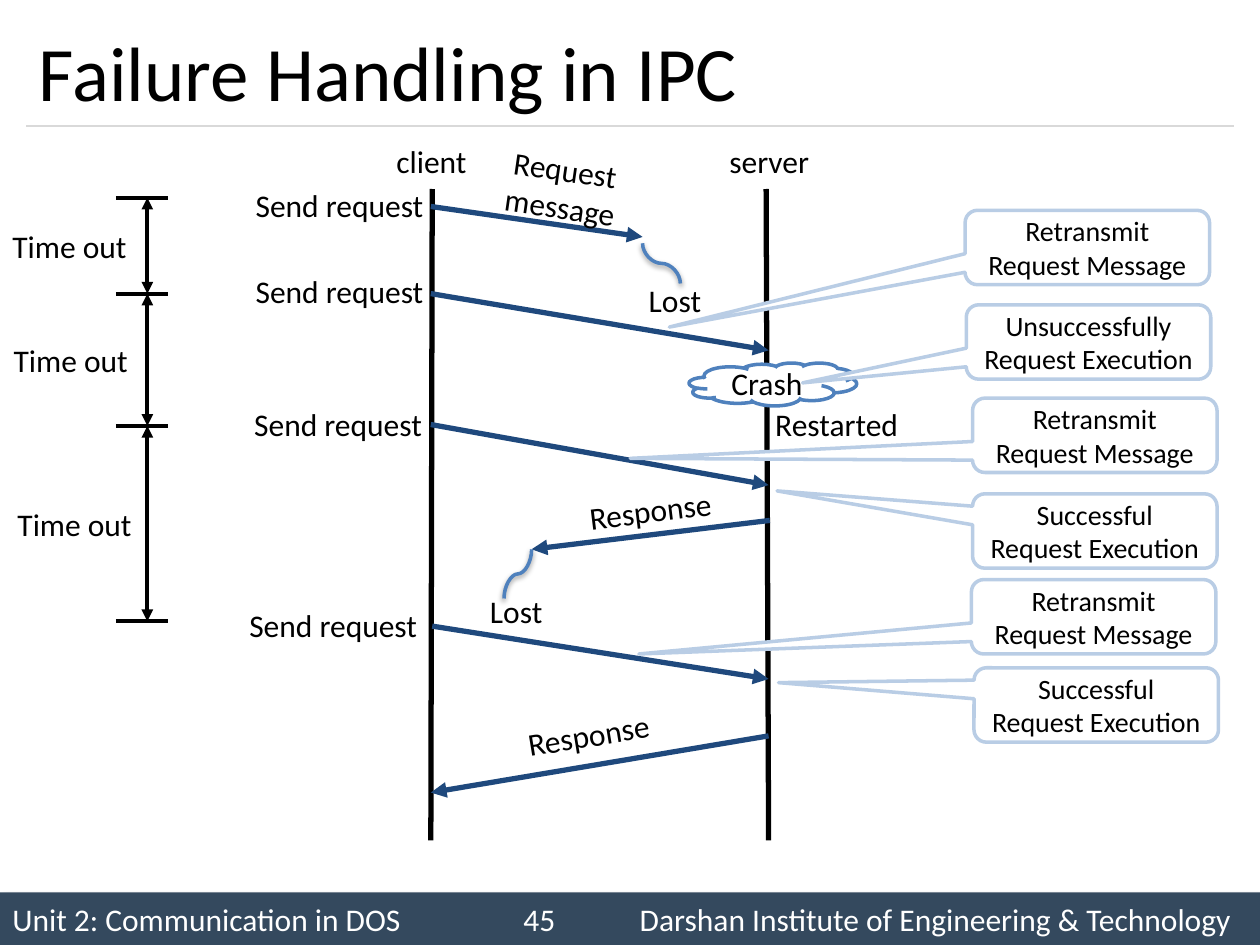
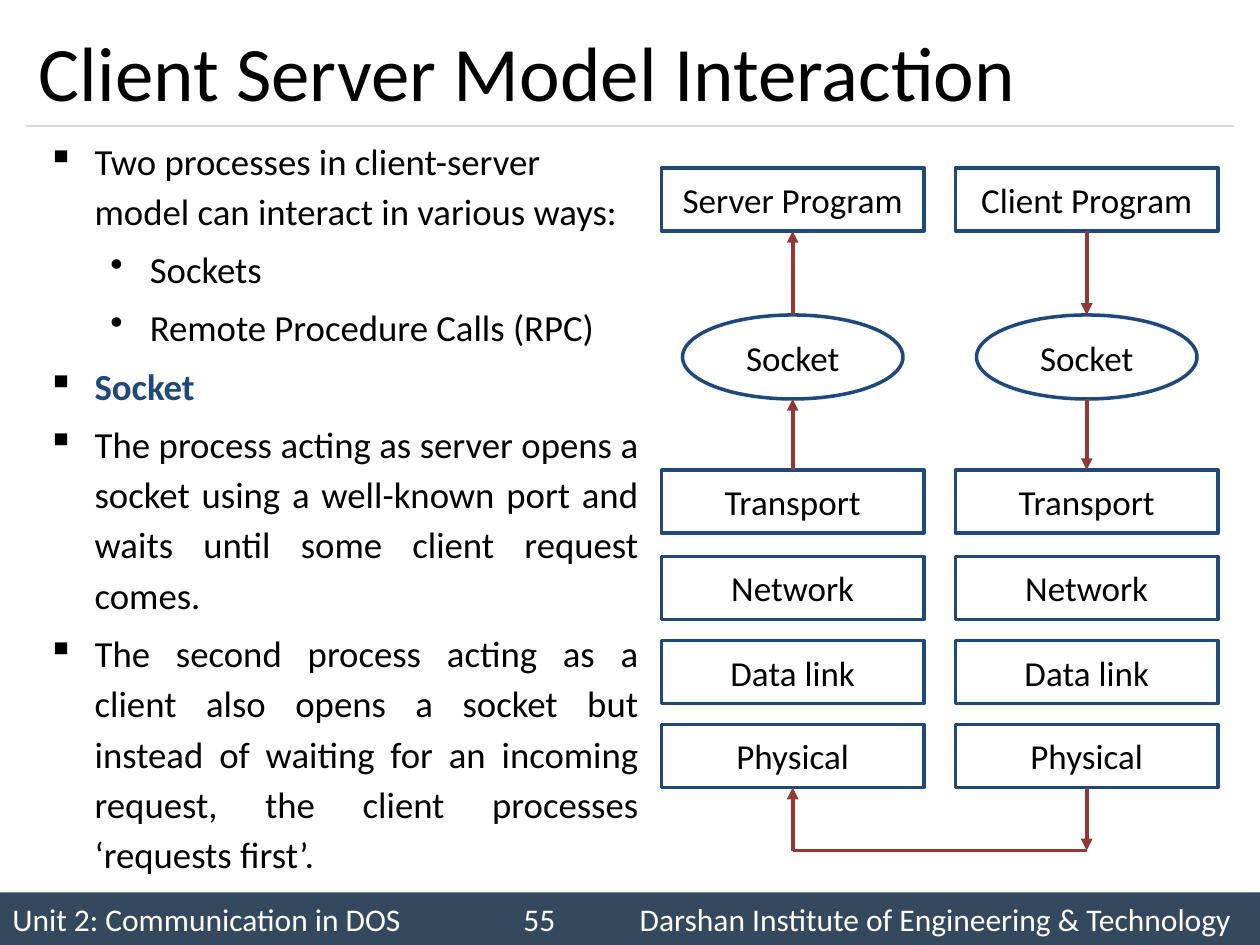
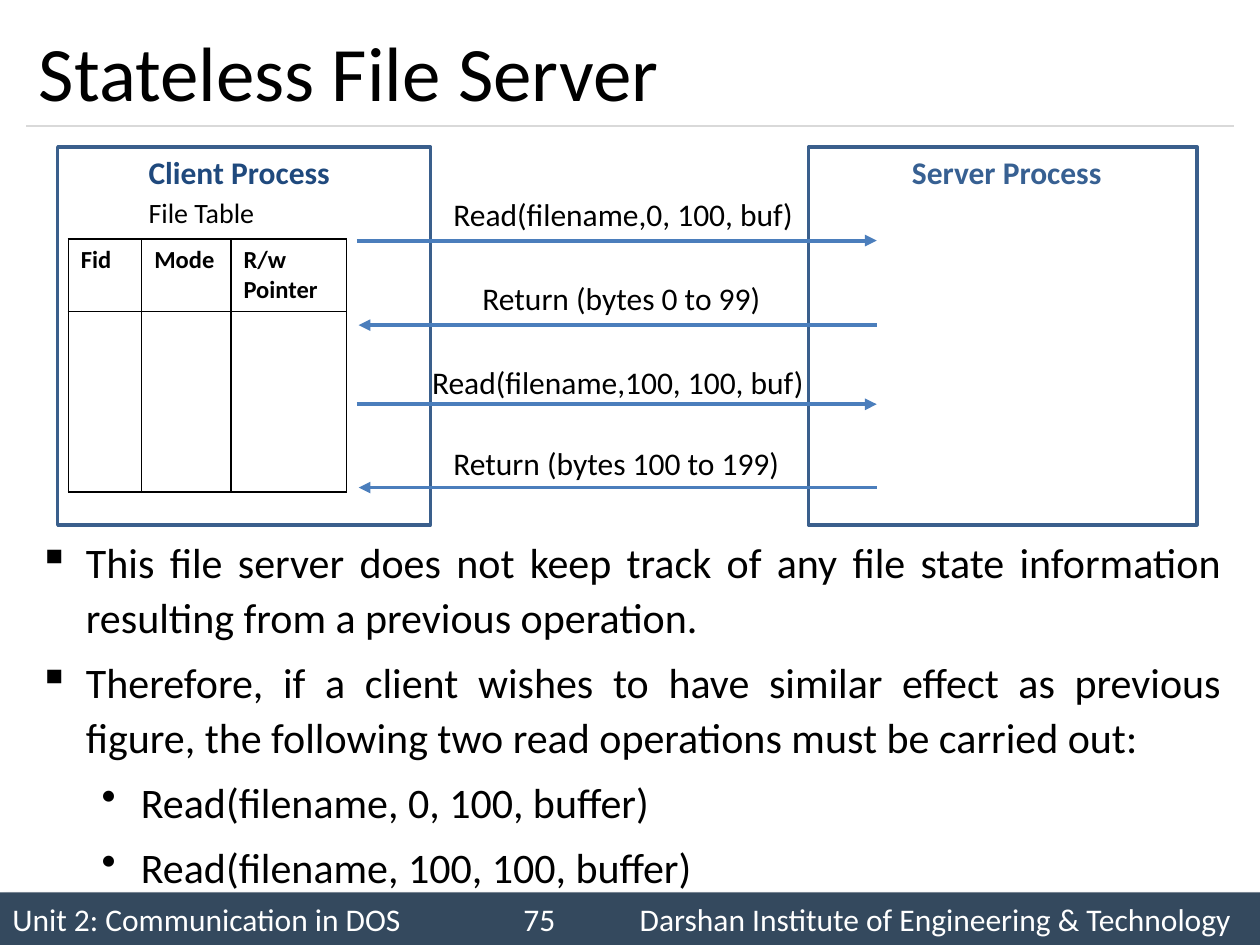
from itertools import pairwise

from lxml import etree
from pptx import Presentation
from pptx.dml.color import RGBColor
from pptx.enum.shapes import MSO_CONNECTOR, MSO_SHAPE
from pptx.enum.text import MSO_ANCHOR, PP_ALIGN
from pptx.oxml.ns import qn
from pptx.util import Pt

STRAIGHT, CURVE = MSO_CONNECTOR.STRAIGHT, MSO_CONNECTOR.CURVE
RECT, OVAL, CLOUD = MSO_SHAPE.RECTANGLE, MSO_SHAPE.OVAL, MSO_SHAPE.CLOUD
CALLOUT = MSO_SHAPE.ROUNDED_RECTANGULAR_CALLOUT
LEFT, CENTER, JUSTIFY = PP_ALIGN.LEFT, PP_ALIGN.CENTER, PP_ALIGN.JUSTIFY
MIDDLE, TOP_SIDE, BOTTOM_SIDE = MSO_ANCHOR.MIDDLE, 0, 2

FONT = "Calibri"
COLORS = {
    "black": "000000", "white": "FFFFFF", "band": "34495E", "rule": "D9D9D9",
    "navy": "1F497D", "blue": "4F81BD", "pale": "B9CDE5", "red": "953735",
    "frame": "3A5F8C", "server": "376092", "message": "4B7EBC",
}

# ---- Shared content ----
UNIT = "Unit 2: Communication in DOS"
INSTITUTE = "Darshan Institute of Engineering & Technology"
FOOTER_TABS = (292, 358.5)
BAND_SHADOW = {"alpha": 40, "blur": 4, "dist": 3, "angle": 45}
CURVE_SHADOW = {"alpha": 38, "blur": 3.1, "dist": 1.6, "angle": 90}

# ---- Failure handling content: lines are x1, y1, x2, y2 ----
LIFELINES = [(247, 108, 246.2, 480.2), (437.8, 108, 439.2, 480.2)]
EXCHANGES = [
    (246.2, 118, 367.2, 135.4), (246.2, 167.8, 439.2, 200.2),
    (246.2, 242.6, 439.2, 277.2), (439.9, 297.4, 303.8, 313.9),
    (247, 357.8, 439.2, 388), (439.2, 420.5, 246.2, 452.9),
]
LOST_PATHS = [(367.2, 139, 388.8, 162), (303.8, 313.9, 288, 342)]
CRASH = (393.8, 207.4, 95.8, 24.5)
CENTERED_LABELS = [  # text, left, top, width, height, rotation
    ("client", 195.8, 77.8, 101.5, 28.8, 0),
    ("server", 388.8, 77.8, 101.5, 28.8, 0),
    ("Restarted", 412.6, 228.2, 131, 28.8, 0),
    ("Request message", 259.2, 82.1, 124.6, 51.1, 8.2),
    ("Response", 312.5, 277.2, 118.1, 28.8, -7),
    ("Response", 277.2, 405.4, 118.1, 28.8, -9.4),
]
LEFT_LABELS = {  # text: width, positions
    "Send request": (136, [(139, 103), (139, 151.9), (138.2, 228.2), (135.4, 342.7)]),
    "Lost": (68, [(363.6, 157), (272.9, 334.8)]),
    "Time out": (81.4, [(0, 126), (0.7, 191.5), (2.9, 285.1)]),
}
RETRANSMIT = "Retransmit Request Message"
SUCCESS = "Successful Request Execution"
CALLOUT_SIZE = (139.7, 42.5)
CALLOUTS = [  # text, left, top, pointer offset
    (RETRANSMIT, 551.5, 120.2, (-1.71, 1.07)),
    ("Unsuccessfully Request Execution", 552.2, 174.2, (-1.17, 0.55)),
    (RETRANSMIT, 555.8, 227.5, (-1.9, 0.31)),
    (SUCCESS, 555.8, 282.2, (-1.3, -0.54)),
    (RETRANSMIT, 555.1, 331.2, (-1.86, 0.5)),
    (SUCCESS, 556.6, 381.6, (-1.3, -0.3)),
]
TIMEOUT_TICKS = [113, 167.8, 243.4, 355]
TICK_LEFT, TICK_RIGHT, TIMEOUT_X = 66.2, 95.8, 84.2

# ---- Client server content: text, level, extra format ----
BOLD_NAVY = {"bold": True, "color": "navy"}
INTERACTION = [
    ("Two processes in client-server model can interact in various ways:", 0, {}),
    ("Sockets", 1, {}),
    ("Remote Procedure Calls (RPC)", 1, {}),
    ("Socket", 0, BOLD_NAVY),
    ("The process acting as server opens a socket using a well-known port and "
     "waits until some client request comes.", 0, {"align": JUSTIFY}),
    ("The second process acting as a client also opens a socket but instead of "
     "waiting for an incoming request, the client processes ‘requests first’.",
     0, {"align": JUSTIFY}),
]
STACKS = [("Server Program", 453, True), ("Client Program", 621, False)]  # centre, upward
LOWER_LAYERS = [("Transport", 268.6), ("Network", 318), ("Data link", 366), ("Physical", 414)]
LAYER_W, LAYER_H, PROGRAM_TOP = 150, 36, 96
SOCKET_W, SOCKET_H, SOCKET_TOP = 126, 48, 180
WIRE_Y = 486

# ---- Stateless server content ----
STATELESS = [
    ("This file server does not keep track of any file state information "
     "resulting from a previous operation.", 0, {"align": JUSTIFY}),
    ("Therefore, if a client wishes to have similar effect as previous figure, "
     "the following two read operations must be carried out:", 0, {"align": JUSTIFY}),
    ("Read(filename, 0, 100, buffer)", 1, {"align": JUSTIFY}),
    ("Read(filename, 100, 100, buffer)", 1, {"align": JUSTIFY}),
]
PROCESS_FRAMES = [(33, 84, 213, 216), (462, 84, 222, 216)]
HEADINGS = [  # text, left, top, width, format
    ("Client Process", 77.8, 84, 118.8, BOLD_NAVY),
    ("Server Process", 514, 84, 123.8, {"bold": True, "color": "server"}),
    ("File Table", 77.8, 108, 75.6, {"size": 16}),
]
MESSAGES = [  # text, left, top, width, arrow y, arrow from, arrow to
    ("Read(filename,0, 100, buf)", 252, 108, 211, 137.5, 204, 501),
    ("Return (bytes 0 to 99)", 268.6, 156, 175, 185.8, 501, 205),
    ("Read(filename,100, 100, buf)", 239.8, 204, 229.7, 231, 204, 501),
    ("Return (bytes 100 to 199)", 252, 250, 203, 278.6, 501, 205),
]
FILE_TABLE = [["Fid", "Mode", "R/w\nPointer"], ["", "", ""]]
TABLE_COLUMNS, TABLE_ROWS = [42, 51, 66], [41.4, 103.4]


# ---- Helpers ----
def rgb(name):
    return RGBColor.from_string(COLORS[name])


def add_xml(parent, tag, **attributes):
    return etree.SubElement(parent, qn(tag), {k: str(v) for k, v in attributes.items()})


def set_effects(shape, shadow=None):
    effects = add_xml(shape._element.spPr, "a:effectLst")
    if shadow:
        outer = add_xml(effects, "a:outerShdw", blurRad=Pt(shadow["blur"]),
                        dist=Pt(shadow["dist"]), dir=shadow["angle"] * 60000,
                        algn="tl", rotWithShape=0)
        color = add_xml(outer, "a:srgbClr", val=COLORS["black"])
        add_xml(color, "a:alpha", val=shadow["alpha"] * 1000)


def format_runs(paragraph, size=18, color="black", bold=False, align=LEFT):
    paragraph.alignment = align
    for run in paragraph.runs:
        for name, value in {"name": FONT, "size": Pt(size), "bold": bold}.items():
            setattr(run.font, name, value)
        run.font.color.rgb = rgb(color)


def write(frame, text, **style):
    frame.text = text
    for paragraph in frame.paragraphs:
        format_runs(paragraph, **style)


def add_label(slide, text, left, top, width, height=28.8, wrap=True, rotation=0, **style):
    label = slide.shapes.add_textbox(Pt(left), Pt(top), Pt(width), Pt(height))
    label.text_frame.word_wrap = wrap
    label.rotation = rotation
    write(label.text_frame, text, **style)


def add_box(slide, kind, box, line=None, fill="white", text="", **style):
    shape = slide.shapes.add_shape(kind, *map(Pt, box))
    shape.shadow.inherit = False
    if fill:
        shape.fill.solid()
        shape.fill.fore_color.rgb = rgb(fill)
    else:
        shape.fill.background()
    if line:
        shape.line.color.rgb, shape.line.width = rgb(line), Pt(2)
    else:
        shape.line.fill.background()
    if text:
        shape.text_frame.vertical_anchor = MIDDLE
        write(shape.text_frame, text, **{"align": CENTER, **style})
    return shape


def add_line(slide, points, color, width, head=False, tail=False,
             kind=STRAIGHT, shadow=None):
    line = slide.shapes.add_connector(kind, *map(Pt, points))
    line.line.color.rgb, line.line.width = rgb(color), Pt(width)
    stroke = line.line._get_or_add_ln()
    for tag, wanted in (("a:headEnd", head), ("a:tailEnd", tail)):
        if wanted:
            add_xml(stroke, tag, type="triangle")
    set_effects(line, shadow)
    return line


def add_lost_path(slide, x1, y1, x2, y2):
    """Draw an S curve that leaves and arrives vertically."""
    center_x, center_y = (x1 + x2) / 2, (y1 + y2) / 2
    side = 1 if x2 > x1 else -1
    run, rise = side * (y2 - y1) / 2, abs(x2 - x1) / 2
    points = (center_x + run, center_y - rise, center_x - run, center_y + rise)
    curve = add_line(slide, points, "blue", 2, kind=CURVE, shadow=CURVE_SHADOW)
    curve._element.spPr.find(qn("a:xfrm")).set("rot", str((180 + 90 * side) * 60000))


def add_bullets(slide, items, box, size, spacing):
    body = slide.shapes.add_textbox(*map(Pt, box)).text_frame
    body.word_wrap = True
    for i, (text, level, style) in enumerate(items):
        paragraph = body.paragraphs[0] if i == 0 else body.add_paragraph()
        paragraph.text, paragraph.level = text, level
        properties = paragraph._p.get_or_add_pPr()
        margin, indent, mark = ((27, -27, "▪"), (58.5, -22.5, "•"))[level]
        properties.set("marL", str(Pt(margin)))
        properties.set("indent", str(Pt(indent)))
        bullet_color = add_xml(properties, "a:buClr")
        add_xml(bullet_color, "a:srgbClr", val=COLORS["black"])
        add_xml(properties, "a:buChar", char=mark)
        paragraph.line_spacing = spacing
        if i:
            paragraph.space_before = Pt(round(size * 0.22, 1))
        format_runs(paragraph, **{"size": size, **style})


def new_slide(deck, title, number):
    slide = deck.slides.add_slide(deck.slide_layouts[5])
    band = add_box(slide, RECT, (0, 510, 720, 30), fill="band",
                   text=f"{UNIT}\t{number}\t{INSTITUTE}", color="white", align=LEFT)
    band.text_frame.word_wrap = True
    tabs = add_xml(band.text_frame.paragraphs[0]._p.get_or_add_pPr(), "a:tabLst")
    for stop in FOOTER_TABS:
        add_xml(tabs, "a:tab", pos=Pt(stop), algn="l")
    band._element.spPr.remove(band._element.spPr.find(qn("a:effectLst")))
    set_effects(band, BAND_SHADOW)
    add_line(slide, (15, 72, 705, 72), "rule", 0.75)
    heading = slide.shapes.title
    place = {"left": 15, "top": 9, "width": 690, "height": 63}
    for name, value in place.items():
        setattr(heading, name, Pt(value))
    heading.text_frame.vertical_anchor = MIDDLE
    write(heading.text_frame, title, size=44)
    return slide


# ---- Slides ----
def failure_handling(deck):
    slide = new_slide(deck, "Failure Handling in IPC", 45)
    for points in LIFELINES:
        add_line(slide, points, "black", 3)
    for points in EXCHANGES:
        add_line(slide, points, "navy", 3, tail=True)
    add_box(slide, CLOUD, CRASH, "blue", text="Crash")
    for points in LOST_PATHS:
        add_lost_path(slide, *points)

    for text, left, top, width, height, rotation in CENTERED_LABELS:
        add_label(slide, text, left, top, width, height, rotation=rotation, align=CENTER)
    for text, (width, positions) in LEFT_LABELS.items():
        for left, top in positions:
            add_label(slide, text, left, top, width)

    for text, left, top, pointer in CALLOUTS:
        callout = add_box(slide, CALLOUT, (left, top, *CALLOUT_SIZE), "pale",
                          text=text, size=16)
        callout.adjustments[0], callout.adjustments[1] = pointer

    # Timeout scale
    for y in TIMEOUT_TICKS:
        add_line(slide, (TICK_LEFT, y, TICK_RIGHT, y), "black", 2.25)
    for start, end in pairwise(TIMEOUT_TICKS):
        add_line(slide, (TIMEOUT_X, start, TIMEOUT_X, end), "black", 2.25,
                 head=True, tail=True)


def client_server(deck):
    slide = new_slide(deck, "Client Server Model Interaction", 55)
    add_bullets(slide, INTERACTION, (20, 72, 352, 438), 21, 1.14)
    for program, center, upward in STACKS:
        layers = {}
        for text, top in [(program, PROGRAM_TOP), *LOWER_LAYERS]:
            box = (center - LAYER_W / 2, top, LAYER_W, LAYER_H)
            layers[text] = add_box(slide, RECT, box, "navy", text=text, size=20)
        add_box(slide, OVAL, (center - SOCKET_W / 2, SOCKET_TOP, SOCKET_W, SOCKET_H),
                "navy", text="Socket", size=20)

        # Each link: upper y, lower y, joined layer and its side
        transport_top, physical_top = LOWER_LAYERS[0][1], LOWER_LAYERS[-1][1]
        links = [
            (PROGRAM_TOP + LAYER_H, SOCKET_TOP, program, BOTTOM_SIDE),
            (SOCKET_TOP + SOCKET_H, transport_top, "Transport", TOP_SIDE),
            (physical_top + LAYER_H, WIRE_Y, "Physical", BOTTOM_SIDE),
        ]
        for upper, lower, layer, side in links:
            start, end = (lower, upper) if upward else (upper, lower)
            arrow = add_line(slide, (center, start, center, end), "red", 2.25, tail=True)
            layer_is_upper = side == BOTTOM_SIDE
            join = arrow.end_connect if layer_is_upper == upward else arrow.begin_connect
            join(layers[layer], side)
    add_line(slide, (STACKS[0][1], WIRE_Y, STACKS[1][1], WIRE_Y), "red", 2.25)


def stateless_server(deck):
    slide = new_slide(deck, "Stateless File Server", 75)
    add_bullets(slide, STATELESS, (15, 300, 690, 210), 24, 1.1)
    for frame in PROCESS_FRAMES:
        add_box(slide, RECT, frame, "frame", fill=None)
    for text, left, top, width, style in HEADINGS:
        add_label(slide, text, left, top, width, wrap=False, **style)
    for text, left, top, width, y, start, end in MESSAGES:
        add_label(slide, text, left, top, width, wrap=False)
        add_line(slide, (start, y, end, y), "message", 2.25, tail=True)

    # File table
    table = slide.shapes.add_table(
        len(TABLE_ROWS), len(TABLE_COLUMNS), Pt(39), Pt(136.5),
        Pt(sum(TABLE_COLUMNS)), Pt(sum(TABLE_ROWS))).table
    table.first_row = table.horz_banding = False
    for column, width in zip(table.columns, TABLE_COLUMNS):
        column.width = Pt(width)
    for row, height, texts in zip(table.rows, TABLE_ROWS, FILE_TABLE):
        row.height = Pt(height)
        for cell, text in zip(row.cells, texts):
            properties = cell._tc.get_or_add_tcPr()
            for side in "LRTB":
                border = add_xml(properties, f"a:ln{side}", w=Pt(1))
                add_xml(add_xml(border, "a:solidFill"), "a:srgbClr", val=COLORS["black"])
            cell.fill.background()
            if text:
                write(cell.text_frame, text, size=14, bold=True)


def main():
    deck = Presentation()
    deck.slide_width, deck.slide_height = Pt(720), Pt(540)
    failure_handling(deck)
    client_server(deck)
    stateless_server(deck)
    deck.save("out.pptx")


if __name__ == "__main__":
    main()
